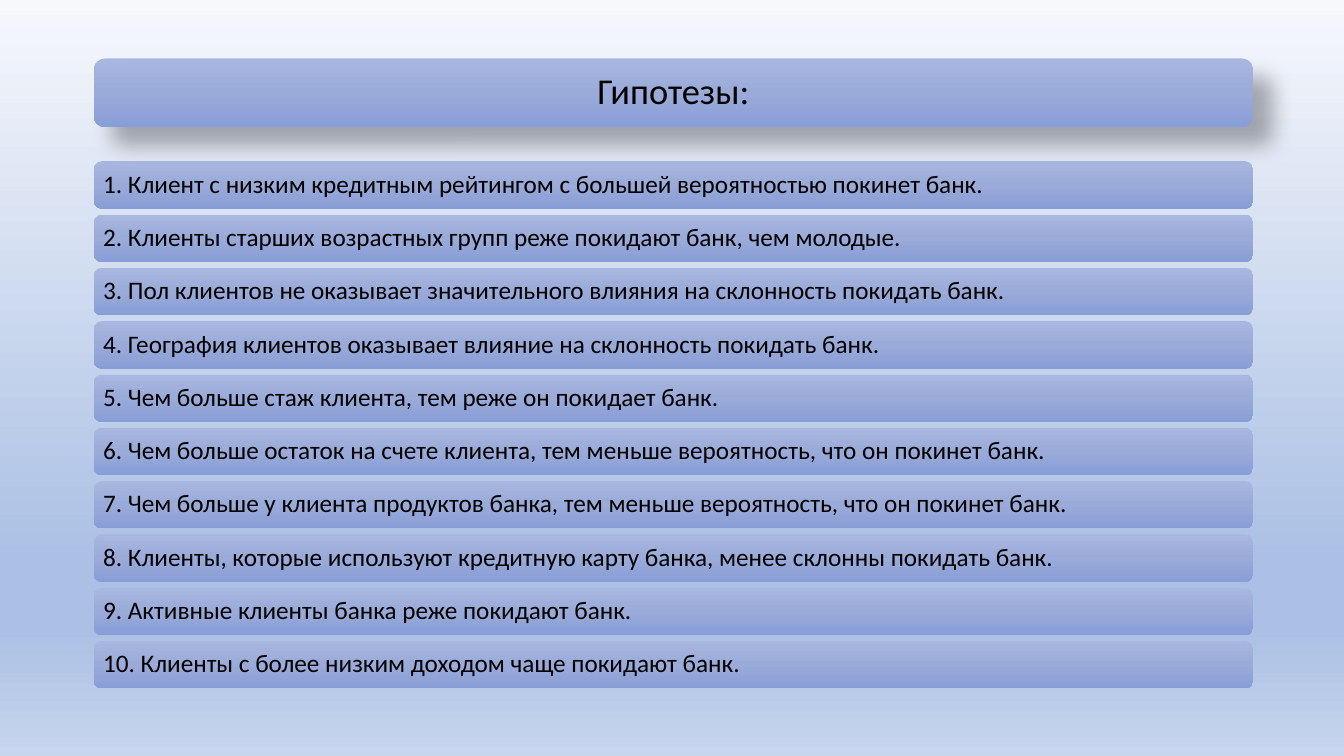
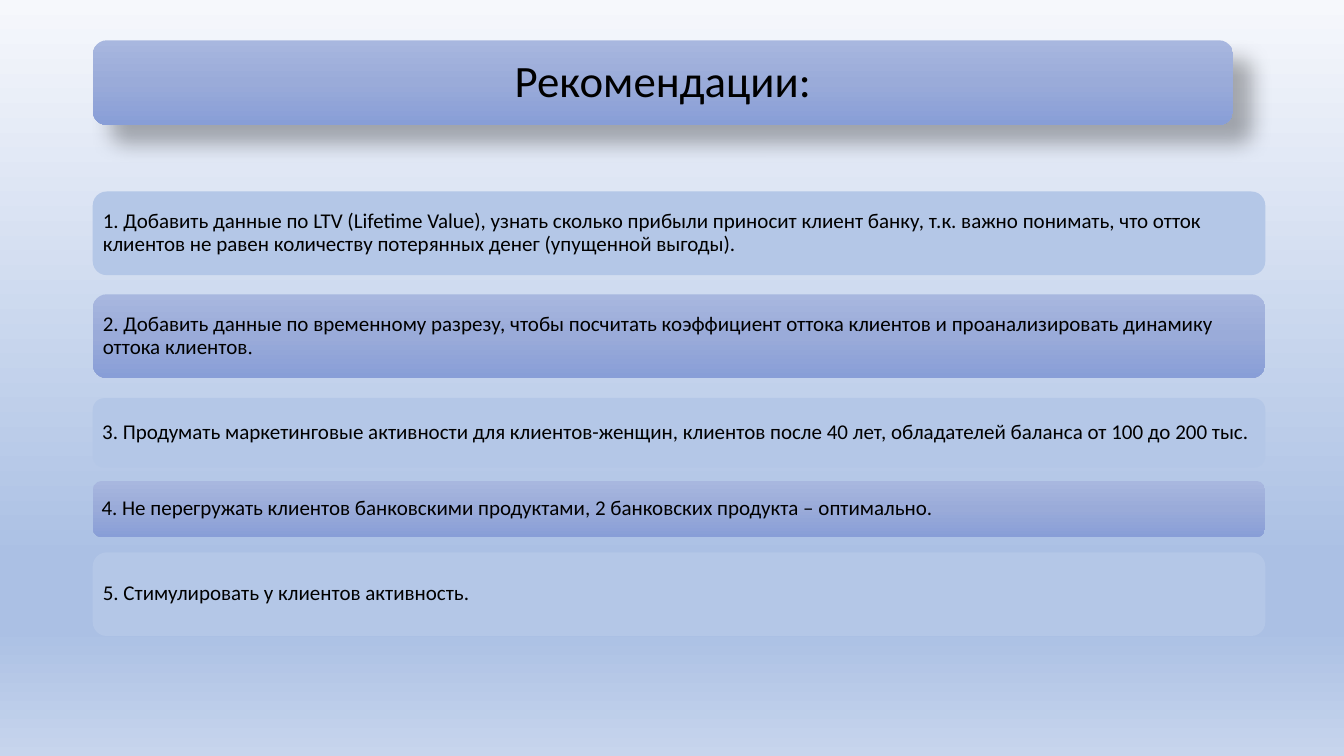
import pptx
import pptx.dml.color
import pptx.enum.shapes
import pptx.enum.text
import pptx.oxml
import pptx.oxml.ns
import pptx.util
from lxml import etree

Inches = pptx.util.Inches
RGBColor = pptx.dml.color.RGBColor
qn = pptx.oxml.ns.qn

BLACK = RGBColor(0x00, 0x00, 0x00)
PALE_BLUE = RGBColor(0xB4, 0xC7, 0xE7)
BACKDROP_STOPS = [
    (0, RGBColor(0xF6, 0xF8, 0xFC)),
    (74, RGBColor(0xAB, 0xC0, 0xE4)),
    (83, RGBColor(0xAB, 0xC0, 0xE4)),
    (100, RGBColor(0xC7, 0xD5, 0xED)),
]
BAR_STOPS = [
    (0, RGBColor(0xA8, 0xB7, 0xDF)),
    (50, RGBColor(0x9A, 0xAB, 0xD9)),
    (100, RGBColor(0x88, 0x9E, 0xD7)),
]
BODY_FONT = "Calibri"
STOP_FONT = "Times New Roman"

HYPOTHESES = [
    "1. Клиент с низким кредитным рейтингом с большей вероятностью покинет банк.",
    "2. Клиенты старших возрастных групп реже покидают банк, чем молодые.",
    "3. Пол клиентов не оказывает значительного влияния на склонность покидать банк.",
    "4. География клиентов оказывает влияние на склонность покидать банк.",
    "5. Чем больше стаж клиента, тем реже он покидает банк.",
    "6. Чем больше остаток на счете клиента, тем меньше вероятность, что он покинет банк.",
    "7. Чем больше у клиента продуктов банка, тем меньше вероятность, что он покинет банк.",
    "8. Клиенты, которые используют кредитную карту банка, менее склонны покидать банк.",
    "9. Активные клиенты банка реже покидают банк.",
    "10. Клиенты с более низким доходом чаще покидают банк.",
]

# Offset from the top of the list, bar height, spans of (text, font)
RECOMMENDATIONS = [
    (0, 0.83, [("1. Добавить данные по LTV (Lifetime Value), узнать сколько прибыли приносит "
                "клиент банку, т.к. важно понимать, что отток клиентов не равен количеству "
                "потерянных денег (упущенной выгоды).", BODY_FONT)]),
    (1.02, 0.83, [("2. Добавить данные по временному разрезу, чтобы посчитать коэффициент оттока "
                   "клиентов и проанализировать динамику оттока клиентов", BODY_FONT),
                  (".", STOP_FONT)]),
    (2.05, 0.69, [("3. Продумать маркетинговые активности для клиентов-женщин, клиентов после "
                   "40 лет, обладателей баланса от 100 до 200 тыс.", BODY_FONT)]),
    (2.87, 0.56, [("4. Не перегружать клиентов банковскими продуктами, 2 банковских продукта – "
                   "оптимально.", BODY_FONT)]),
    (3.58, 0.83, [("5. Стимулировать у клиентов активность.", BODY_FONT)]),
]


def paint_gradient(fill, element, stops):
    """Fill from top to bottom; element is the XML node that holds the fill."""
    fill.gradient()
    fill.gradient_angle = 270
    stop_list = next(element.iter(qn("a:gsLst")))
    for old_stop in list(stop_list):
        stop_list.remove(old_stop)
    for percent, color in stops:
        stop = etree.SubElement(stop_list, qn("a:gs"), pos=str(percent * 1000))
        etree.SubElement(stop, qn("a:srgbClr"), val=str(color))


def add_soft_shadow(shape):
    effects = shape.element.spPr.find(qn("a:effectLst"))
    shadow = etree.SubElement(
        effects, qn("a:outerShdw"), blurRad=str(pptx.util.Pt(15)),
        dist=str(pptx.util.Pt(18)), dir="2700000", algn="ctr", rotWithShape="0")
    color = etree.SubElement(shadow, qn("a:srgbClr"), val=str(BLACK))
    etree.SubElement(color, qn("a:alpha"), val="30000")


def add_bar(slide, box, spans, size, inset, plain_color=None, centred=False):
    """Rounded bar with text; a gradient unless plain_color is given."""
    bar = slide.shapes.add_shape(
        pptx.enum.shapes.MSO_SHAPE.ROUNDED_RECTANGLE, *map(Inches, box))
    bar.shadow.inherit = False
    bar.line.fill.background()
    if plain_color is None:
        paint_gradient(bar.fill, bar.element, BAR_STOPS)
    else:
        bar.fill.solid()
        bar.fill.fore_color.rgb = plain_color

    frame = bar.text_frame
    frame_format = {"word_wrap": True,
                    "vertical_anchor": pptx.enum.text.MSO_ANCHOR.MIDDLE}
    for side in ("left", "top", "right", "bottom"):
        frame_format["margin_" + side] = Inches(inset)
    for name, value in frame_format.items():
        setattr(frame, name, value)

    para = frame.paragraphs[0]
    align = pptx.enum.text.PP_ALIGN
    para.alignment = align.CENTER if centred else align.LEFT
    para.line_spacing = 0.9
    for text, font in spans:
        span = para.add_run()
        span.text = text
        for name, value in {"name": font, "size": pptx.util.Pt(size)}.items():
            setattr(span.font, name, value)
        span.font.color.rgb = BLACK
    return bar


def add_title(slide, box, text, size, inset):
    add_soft_shadow(add_bar(slide, box, [(text, BODY_FONT)], size, inset, centred=True))


def add_hypothesis_list(slide, box, texts, row_height=0.47):
    """Equal rows spread over the full height of the box."""
    left, top, width, height = box
    pitch = (height - row_height) / (len(texts) - 1)
    for index, text in enumerate(texts):
        row = (left, top + index * pitch, width, row_height)
        add_bar(slide, row, [(text, BODY_FONT)], 18, 0.07)


def add_recommendation_list(slide, left, top, width):
    """Rows that alternate between plain and gradient bars."""
    for index, (offset, height, spans) in enumerate(RECOMMENDATIONS):
        color = PALE_BLUE if index % 2 == 0 else None
        add_bar(slide, (left, top + offset, width, height), spans, 15, 0.06, color)


def main():
    deck = pptx.Presentation()
    deck.slide_width, deck.slide_height = Inches(13.33), Inches(7.5)
    master = deck.slide_master
    paint_gradient(master.background.fill, master.element, BACKDROP_STOPS)
    blank = deck.slide_layouts[6]

    hypotheses = deck.slides.add_slide(blank)
    add_hypothesis_list(hypotheses, (0.93, 1.6, 11.5, 5.23), HYPOTHESES)
    add_title(hypotheses, (0.93, 0.58, 11.5, 0.68), "Гипотезы:", 26, 0.11)

    recommendations = deck.slides.add_slide(blank)
    add_title(recommendations, (0.92, 0.4, 11.31, 0.84), "Рекомендации:", 32, 0.13)
    add_recommendation_list(recommendations, 0.92, 1.9, 11.63)

    deck.save("out.pptx")


if __name__ == "__main__":
    main()
